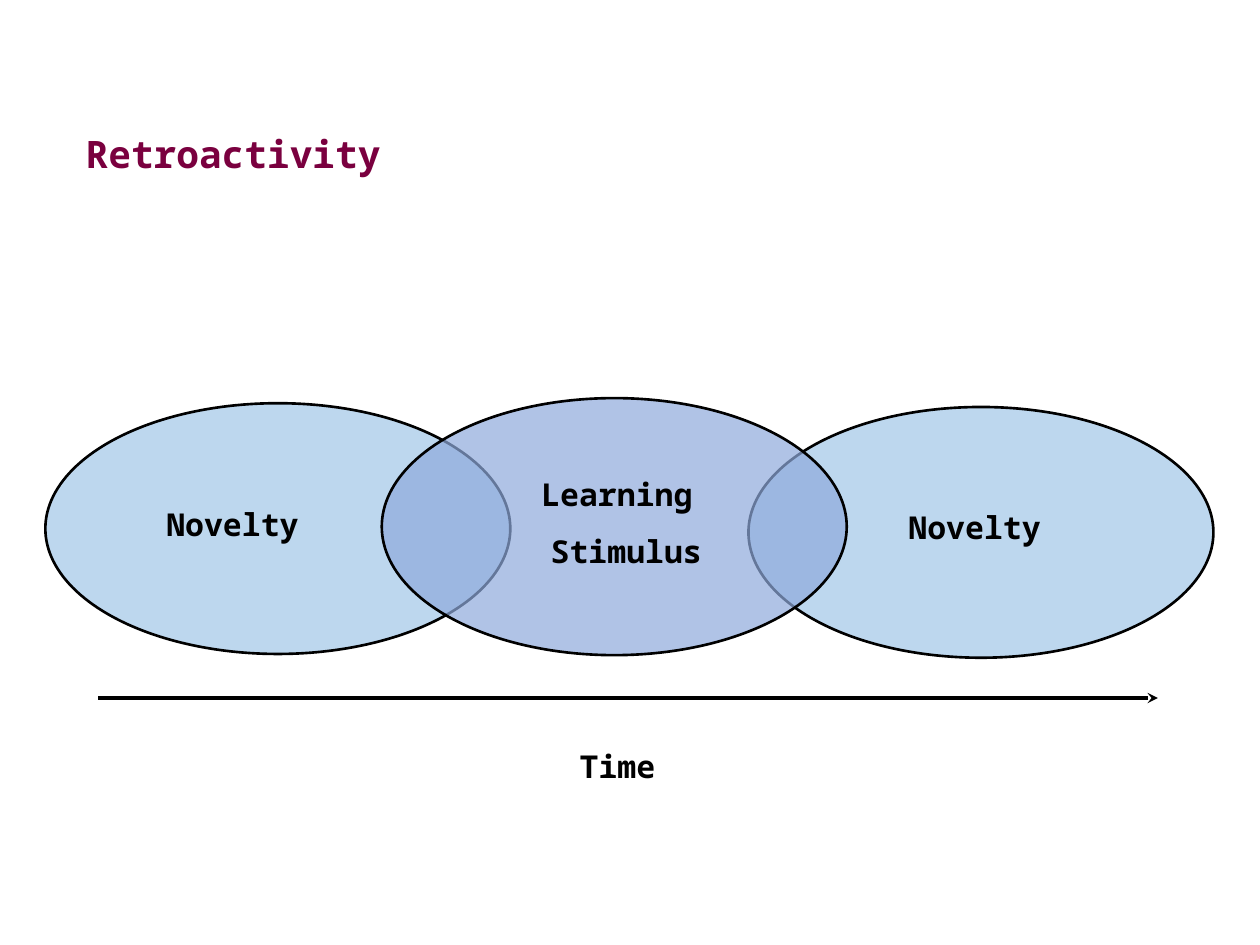
from pptx import Presentation
from pptx.dml.color import RGBColor
from pptx.enum.shapes import MSO_CONNECTOR, MSO_SHAPE
from pptx.enum.text import MSO_ANCHOR, MSO_AUTO_SIZE, PP_ALIGN
from pptx.oxml.ns import qn
from pptx.util import Inches, Pt
from lxml.etree import SubElement

FONT = "Noto Sans Mono"
BLACK = "000000"
SKY = "BDD7EE"


def color(text):
    """Turn a hex string into a colour."""
    return RGBColor.from_string(text)


def pad(frame, left, top):
    """Set the wrapping and the margins of a text frame."""
    frame.word_wrap = True
    frame.auto_size = MSO_AUTO_SIZE.NONE
    frame.margin_left, frame.margin_top = Inches(left), Inches(top)
    frame.margin_right, frame.margin_bottom = Inches(0.1), Inches(0.05)


def style(para, size, tint, indent, align):
    """Set the font, indent and alignment of a paragraph."""
    props = para._p.get_or_add_pPr()
    props.set("marL", str(Inches(indent)))
    props.set("indent", "0")
    para.alignment = align
    para.space_before = Pt(0)
    font = para.font
    font.name, font.size, font.bold = FONT, Pt(size), True
    font.color.rgb = color(tint)


def add_title(slide, text):
    """Fill and place the title."""
    title = slide.shapes.title
    title.left, title.top = Inches(0), Inches(0.96)
    title.width, title.height = Inches(9.41), Inches(0.5)
    frame = title.text_frame
    pad(frame, 0.1, 0.06)
    frame.vertical_anchor = MSO_ANCHOR.MIDDLE
    frame.text = text
    style(frame.paragraphs[0], 21.6, "7A003F", 0.58, PP_ALIGN.LEFT)


def add_oval(slide, box, fill, alpha=100):
    """Add an outlined ellipse with a given opacity in percent."""
    oval = slide.shapes.add_shape(MSO_SHAPE.OVAL, *map(Inches, box))
    oval.shadow.inherit = False
    oval.fill.solid()
    oval.fill.fore_color.rgb = color(fill)
    oval.line.color.rgb = color(BLACK)
    oval.line.width = Pt(1.5)
    if alpha < 100:
        tint = oval._element.spPr.find(qn("a:solidFill"))[0]
        SubElement(tint, qn("a:alpha")).set("val", str(alpha * 1000))


def add_label(slide, box, text, align=PP_ALIGN.LEFT):
    """Add a bold label with wide line spacing."""
    frame = slide.shapes.add_textbox(*map(Inches, box)).text_frame
    pad(frame, 0.28, 0.05)
    frame.text = text
    for para in frame.paragraphs:
        style(para, 18, BLACK, 0.38, align)
        para.line_spacing = 1.5


def add_arrow(slide, start, end, level):
    """Add a level arrow that points right."""
    arrow = slide.shapes.add_connector(
        MSO_CONNECTOR.STRAIGHT, *map(Inches, (start, level, end, level)))
    arrow.line.color.rgb = color(BLACK)
    arrow.line.width = Pt(2)
    SubElement(arrow.line._get_or_add_ln(), qn("a:tailEnd")).set("type", "stealth")
    SubElement(arrow._element.spPr, qn("a:effectLst"))


def main():
    """Build the slide and save it."""
    deck = Presentation()
    deck.slide_width, deck.slide_height = Inches(10), Inches(7.5)
    slide = deck.slides.add_slide(deck.slide_layouts[5])
    add_title(slide, "Retroactivity")
    add_oval(slide, (0.36, 3.2, 3.69, 1.99), SKY)
    add_oval(slide, (5.94, 3.23, 3.69, 1.99), SKY)
    add_oval(slide, (3.03, 3.16, 3.69, 2.04), "8FAADC", 70)
    add_label(slide, (2.97, 3.57, 3.44, 1.31), "Learning \nStimulus", PP_ALIGN.CENTER)
    for left, top, text in ((0.66, 3.81, "Novelty"), (6.55, 3.83, "Novelty"),
                            (3.94, 5.73, "Time")):
        add_label(slide, (left, top, 3.08, 0.78), text)
    add_arrow(slide, 0.78, 9.19, 5.54)
    deck.save("out.pptx")


if __name__ == "__main__":
    main()
